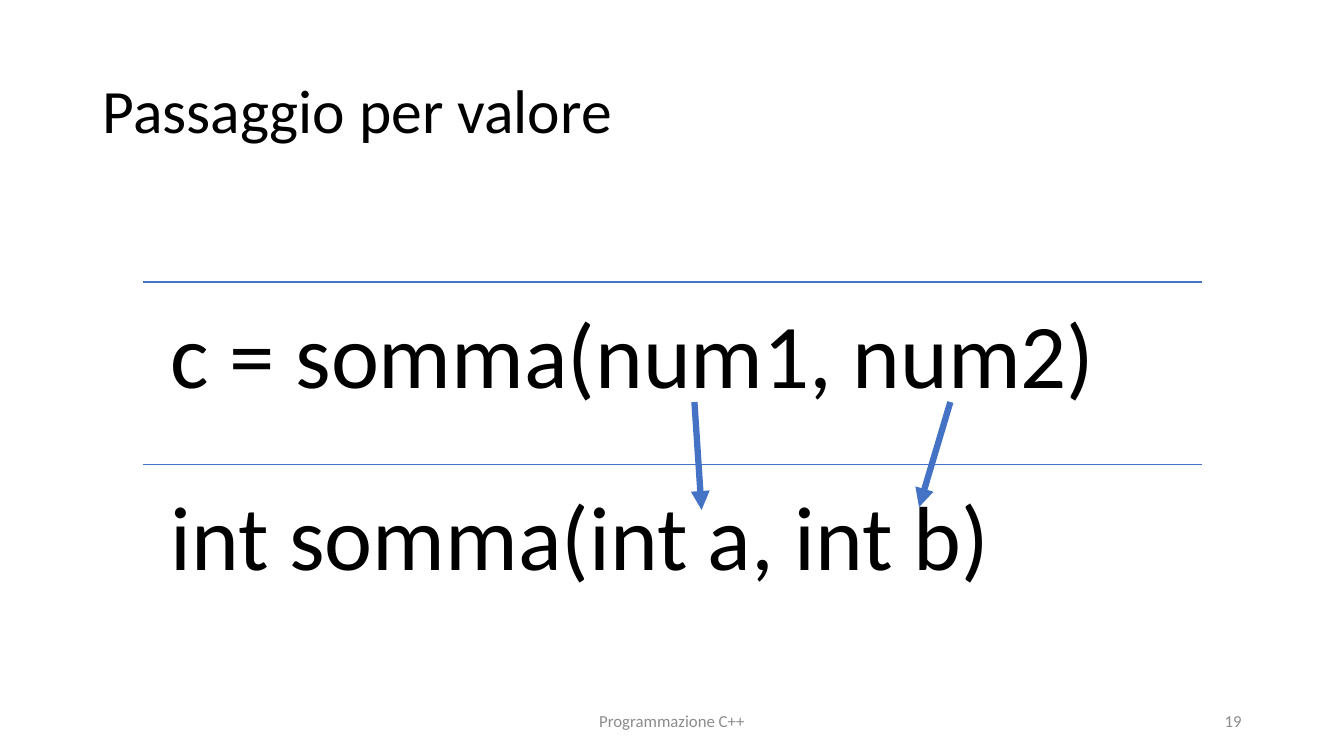
from lxml import etree
from pptx import Presentation
from pptx.dml.color import RGBColor
from pptx.enum.shapes import MSO_CONNECTOR
from pptx.enum.text import MSO_ANCHOR, MSO_AUTO_SIZE, PP_ALIGN
from pptx.oxml.ns import qn
from pptx.util import Cm, Pt

BLACK = RGBColor(0x00, 0x00, 0x00)
GREY = RGBColor(0x8C, 0x8C, 0x8C)
BLUE = RGBColor(0x44, 0x72, 0xC4)
FONT = "Calibri"
LEFT, CENTER, RIGHT = PP_ALIGN.LEFT, PP_ALIGN.CENTER, PP_ALIGN.RIGHT
TOP, MIDDLE = MSO_ANCHOR.TOP, MSO_ANCHOR.MIDDLE
STRAIGHT = MSO_CONNECTOR.STRAIGHT
NO_AUTOFIT = MSO_AUTO_SIZE.NONE
TITLE_ONLY = 5


def set_all(target, values):
    for key, value in values.items():
        setattr(target, key, value)


def write(frame, text, size, color, align=LEFT, anchor=MIDDLE, spacing=1.0, inset=None):
    set_all(frame, {"word_wrap": True, "auto_size": NO_AUTOFIT, "vertical_anchor": anchor})
    if inset is not None:
        set_all(frame, dict.fromkeys(
            ("margin_left", "margin_top", "margin_right", "margin_bottom"), Cm(inset)))
    frame.text = text
    paragraph = frame.paragraphs[0]
    set_all(paragraph, {"alignment": align, "line_spacing": spacing})
    set_all(paragraph.font, {"name": FONT, "size": Pt(size)})
    paragraph.font.color.rgb = color


def add_text(slide, box, text, size, color, **layout):
    label = slide.shapes.add_textbox(*map(Cm, box))
    write(label.text_frame, text, size, color, **layout)


def add_line(slide, start, end, width, arrow=False):
    line = slide.shapes.add_connector(STRAIGHT, *map(Cm, start + end))
    line.line.color.rgb = BLUE
    line.line.width = Pt(width)
    if arrow:
        etree.SubElement(line.line._get_or_add_ln(), qn("a:tailEnd"), type="triangle")
    etree.SubElement(line._element.spPr, qn("a:effectLst"))


def add_title(slide, box, text):
    title = slide.shapes.title
    set_all(title, dict(zip(("left", "top", "width", "height"), map(Cm, box))))
    write(title.text_frame, text, 44, BLACK, spacing=0.9)


def add_code_rows(slide, box, rows):
    """Equal rows, each with a rule along its top edge."""
    left, top, width, height = box
    row_height = height / len(rows)
    for index, code in enumerate(rows):
        y = top + index * row_height
        add_line(slide, (left, y), (left + width, y), 1)
        add_text(slide, (left, y, width, row_height), code, 65, BLACK,
                 anchor=TOP, spacing=0.9, inset=0.69)


def add_argument_arrows(slide, box, arrows):
    """Arrows from each argument to its parameter, offset from the box corner."""
    left, top = box[:2]
    for (x1, y1), (x2, y2) in arrows:
        add_line(slide, (left + x1, top + y1), (left + x2, top + y2), 4.5, arrow=True)


def add_footer(slide, box, course, number):
    left, top, width, height = box
    course_width, number_width = 11.43, 7.62
    add_text(slide, (left + (width - course_width) / 2, top, course_width, height),
             course, 12, GREY, align=CENTER)
    add_text(slide, (left + width - number_width, top, number_width, height),
             number, 12, GREY, align=RIGHT)


def main():
    deck = Presentation()
    set_all(deck, {"slide_width": Cm(33.87), "slide_height": Cm(19.05)})
    slide = deck.slides.add_slide(deck.slide_layouts[TITLE_ONLY])

    # Title
    add_title(slide, (2.33, 1.02, 29.21, 3.68), "Passaggio per valore")

    # Call and function signature
    code_box = (3.61, 7.11, 26.67, 9.2)
    add_code_rows(slide, code_box, ["c = somma(num1, num2)", "int somma(int a, int b)"])

    # Footer
    add_footer(slide, (2.33, 17.65, 29.21, 1.02), "Programmazione C++", "19")

    # Arguments passed to parameters
    add_argument_arrows(slide, code_box, [
        ((13.89, 3.02), (14.07, 5.74)),
        ((20.34, 3.02), (19.55, 5.67)),
    ])

    deck.save("out.pptx")


if __name__ == "__main__":
    main()
